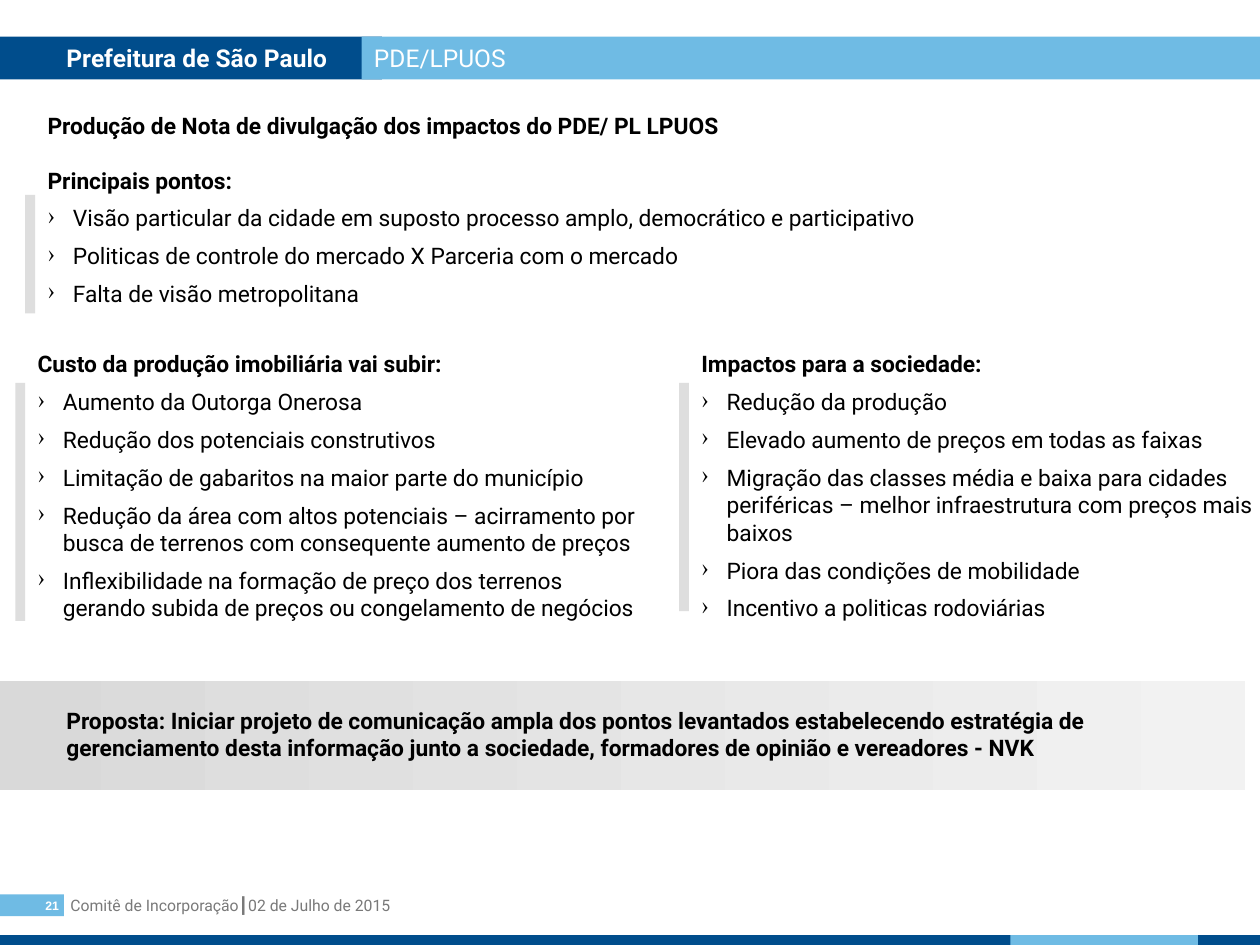
from lxml import etree
from pptx import Presentation
from pptx.dml.color import RGBColor
from pptx.enum.shapes import MSO_SHAPE
from pptx.enum.text import MSO_ANCHOR, PP_ALIGN
from pptx.oxml.ns import qn
from pptx.util import Cm, Pt

RECT = MSO_SHAPE.RECTANGLE
TOP, MID = MSO_ANCHOR.TOP, MSO_ANCHOR.MIDDLE
LEFT, RIGHT = PP_ALIGN.LEFT, PP_ALIGN.RIGHT

HUES = {
    "navy": "004D8C", "sky": "6FBBE4", "white": "FFFFFF", "black": "000000",
    "gray": "797979", "bar": "DEDEDE", "dark": "D9D9D9", "pale": "F2F2F2",
}
PAD = (0.25, 0.13, 0.25, 0.13)
BODY = 13
HANG = 0.51
BAR = 0.2

LISTS = [
    {
        "box": (0.71, 2.13, 23.34, 4.78), "bar": (1.8, 2.39),
        "heads": ["Produção de Nota de divulgação dos impactos do PDE/ PL LPUOS",
                  "Principais pontos:"],
        "items": [
            "Visão particular da cidade em suposto processo amplo, democrático e participativo",
            "Politicas de controle do mercado X Parceria com o mercado",
            "Falta de visão metropolitana",
        ],
    },
    {
        "box": (0.51, 6.93, 12.7, 5.77), "bar": (0.79, 4.8),
        "heads": ["Custo da produção imobiliária vai subir:"],
        "items": [
            "Aumento da Outorga Onerosa",
            "Redução dos potenciais construtivos",
            "Limitação de gabaritos na maior parte do município",
            "Redução da área com altos potenciais – acirramento por busca de terrenos "
            "com consequente aumento de preços",
            "Inflexibilidade na formação de preço dos terrenos gerando subida de preços "
            "ou congelamento de negócios",
        ],
    },
    {
        "box": (13.89, 6.93, 12.7, 6.32), "bar": (0.79, 4.6),
        "heads": ["Impactos para a sociedade:"],
        "items": [
            "Redução da produção",
            "Elevado aumento de preços em todas as faixas",
            "Migração das classes média e baixa para cidades periféricas – melhor "
            "infraestrutura com preços mais baixos",
            "Piora das condições de mobilidade",
            "Incentivo a politicas rodoviárias",
        ],
    },
]
PLAN = ("Proposta: Iniciar projeto de comunicação ampla dos pontos levantados "
        "estabelecendo estratégia de gerenciamento desta informação junto a "
        "sociedade, formadores de opinião e vereadores - NVK")


def color(name):
    return RGBColor.from_string(HUES[name])


def rect(slide, box, hue):
    shape = slide.shapes.add_shape(RECT, *map(Cm, box))
    shape.shadow.inherit = False
    shape.line.fill.background()
    shape.fill.solid()
    shape.fill.fore_color.rgb = color(hue)
    return shape


def frame(shape, pad=PAD, anchor=TOP):
    text = shape.text_frame
    text.word_wrap = True
    text.vertical_anchor = anchor
    (text.margin_left, text.margin_top,
     text.margin_right, text.margin_bottom) = map(Cm, pad)
    return text


def area(slide, box):
    return frame(slide.shapes.add_textbox(*map(Cm, box)))


def write(para, words, size=BODY, hue="black", bold=False, face="Roboto", align=LEFT):
    para.alignment = align
    run = para.add_run()
    run.text = words
    run.font.size = Pt(size)
    run.font.name = face
    run.font.bold = bold
    run.font.color.rgb = color(hue)


def indent(para, left, first=0):
    props = para._p.get_or_add_pPr()
    props.set("marL", str(Cm(left)))
    props.set("indent", str(Cm(first)))
    return props


def bullet(para):
    props = indent(para, HANG, -HANG)
    tint = etree.SubElement(props, qn("a:buClr"))
    etree.SubElement(tint, qn("a:srgbClr")).set("val", HUES["black"])
    etree.SubElement(props, qn("a:buChar")).set("char", "›")
    para.space_before = Pt(6)


def outline(slide, part):
    text = area(slide, part["box"])
    for i, head in enumerate(part["heads"]):
        para = text.add_paragraph() if i else text.paragraphs[0]
        if i:
            para.space_before = Pt(15.4)
        write(para, head, bold=True)
    for item in part["items"]:
        para = text.add_paragraph()
        bullet(para)
        write(para, item)
    left, top = part["box"][:2]
    drop, tall = part["bar"]
    rect(slide, (left - BAR, top + drop, BAR, tall), "bar")


def footer(slide):
    note = area(slide, (1.17, 17.93, 18.54, 0.64))
    write(note.paragraphs[0], "Comitê de Incorporação┃02 de Julho de 2015", 9, "gray")
    tab = frame(rect(slide, (0, 18.03, 1.29, 0.44), "sky"), (0, 0, 0.1, 0), MID)
    write(tab.paragraphs[0], "21", 7, "white", True, "Arial", RIGHT)
    rect(slide, (0, 18.85, 25.4, 0.2), "navy")
    rect(slide, (20.37, 18.85, 3.78, 0.2), "sky")


def header(slide):
    name = frame(rect(slide, (0, 0.74, 7.7, 0.86), "navy"), (0.1, 0.13, 0.1, 0.13))
    indent(name.paragraphs[0], 1.24)
    write(name.paragraphs[0], "Prefeitura de São Paulo", 14, "white", True)
    topic = frame(rect(slide, (7.29, 0.74, 18.11, 0.86), "sky"))
    write(topic.paragraphs[0], "PDE/LPUOS", 14, "white")


def proposal(slide):
    band = rect(slide, (-0.05, 13.72, 25.15, 2.2), "dark")
    band.fill.gradient()
    band.fill.gradient_angle = 0
    for stop, hue in zip(band.fill.gradient_stops, ("dark", "pale")):
        stop.color.rgb = color(hue)
    text = area(slide, (1.09, 14.12, 23.39, 1.37))
    write(text.paragraphs[0], PLAN, bold=True)


def main():
    deck = Presentation()
    deck.slide_width, deck.slide_height = Cm(25.4), Cm(19.05)
    slide = deck.slides.add_slide(deck.slide_layouts[6])
    footer(slide)
    header(slide)
    proposal(slide)
    for part in LISTS:
        outline(slide, part)
    deck.save("out.pptx")


if __name__ == "__main__":
    main()
